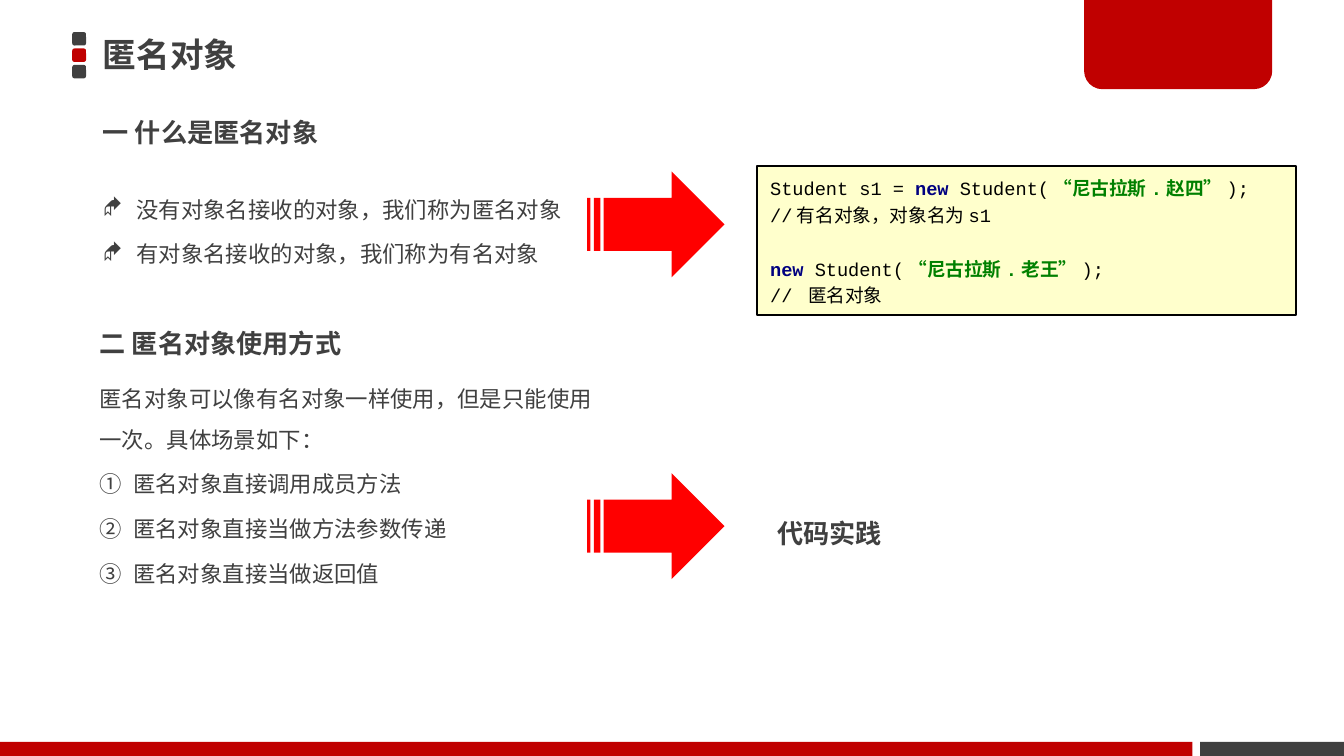
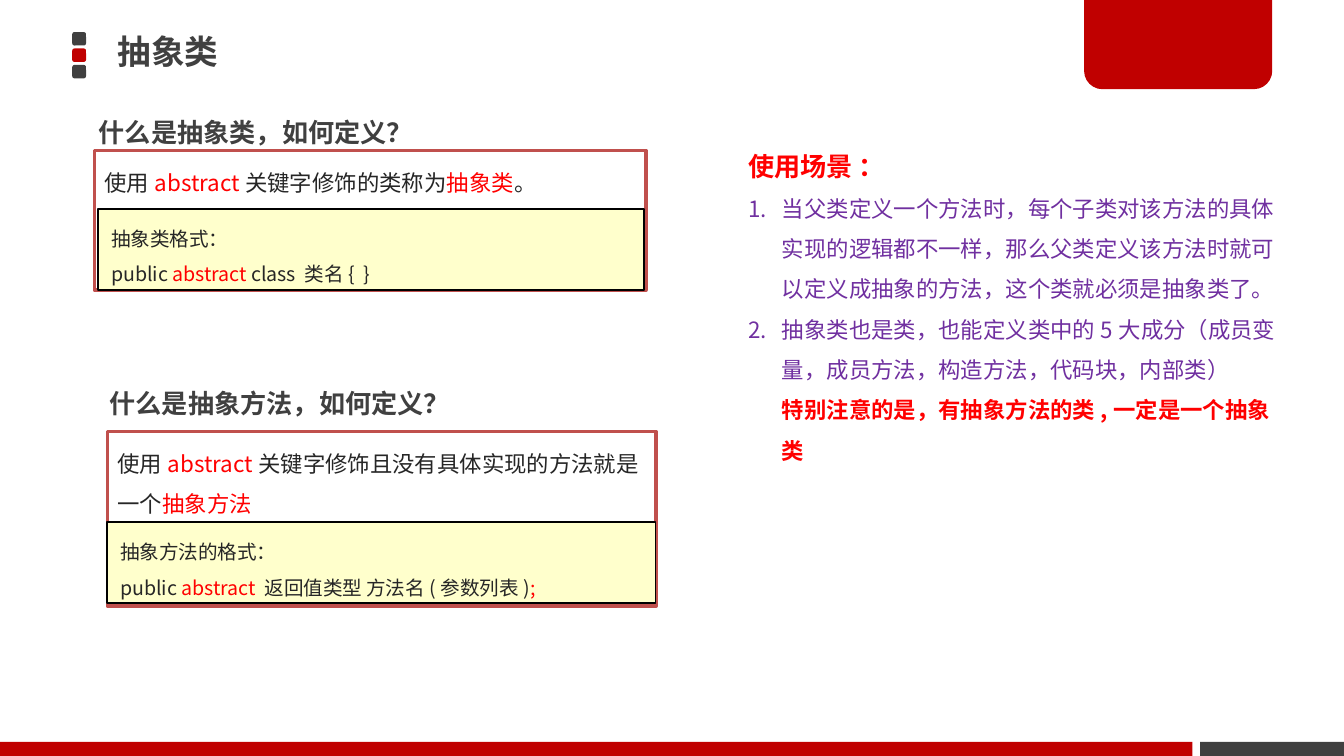
from lxml.etree import SubElement
from pptx import Presentation
from pptx.dml.color import RGBColor
from pptx.enum.shapes import MSO_SHAPE
from pptx.enum.text import MSO_ANCHOR, PP_ALIGN
from pptx.oxml.ns import qn
from pptx.util import Pt

GREY = RGBColor(0x40, 0x40, 0x40)
INK = RGBColor(0x26, 0x26, 0x26)
BLACK = RGBColor(0, 0, 0)
WHITE = RGBColor(0xFF, 0xFF, 0xFF)
DARK_RED = RGBColor(0xC0, 0, 0)
RED = RGBColor(0xFF, 0, 0)
BRICK = RGBColor(0xC0, 0x50, 0x4D)
CREAM = RGBColor(0xFF, 0xFF, 0xCC)
NAVY = RGBColor(0, 0, 0x80)
GREEN = RGBColor(0, 0x80, 0)
PURPLE = RGBColor(0x70, 0x30, 0xA0)

JP, SC, MONO = "Noto Sans CJK JP", "Noto Sans CJK SC", "Courier New"
WIDTH, HEIGHT = 720, 405
TIGHT, NORMAL = (5.4, 2.7), (7.2, 3.6)

# Text styles
TITLE = dict(size=18, bold=True, anchor=MSO_ANCHOR.MIDDLE)
HEADING = dict(size=14, bold=True, anchor=MSO_ANCHOR.MIDDLE)
BODY = dict(size=12, spacing=1.5, before=2.4)
CODE = dict(size=10, font=MONO, color=BLACK, spacing=1.2, inset=NORMAL,
            fill=CREAM, line=BLACK)
DEFINITION = dict(BODY, font=SC, color=INK, fill=WHITE, line=BRICK, line_width=2)
FORMAT = dict(size=10.5, font=SC, color=INK, spacing=1.5, inset=NORMAL,
              fill=CREAM, line=BLACK)
USAGE = dict(size=12, font=SC, color=PURPLE, spacing=1.5, inset=NORMAL)

# Bullets: tag, attributes
DIAMOND = ("a:buChar", {"char": "◆"})
CIRCLED = ("a:buAutoNum", {"type": "circleNumDbPlain"})
NUMBERED = ("a:buAutoNum", {"type": "arabicPeriod"})


def para(*runs, **changes):
    """A paragraph: runs are strings or (text, colour, bold) tuples."""
    return runs, changes


def red(words):
    return words, RED, False


def student(name):
    return [("new ", NAVY, True), "Student(", (f"“{name}”", GREEN, True), ");"]


# Content: (box, paragraphs, style), box as left, top, width, height
ANONYMOUS = [
    ((49.7, 13.7, 517.7, 30.2), [para("匿名对象")], TITLE),
    ((49.7, 55.4, 293.8, 30.2), [para("一 什么是匿名对象")], HEADING),
    ((49.7, 95, 293.8, 62), [
        para("没有对象名接收的对象，我们称为匿名对象", bullet=DIAMOND),
        para("有对象名接收的对象，我们称为有名对象", bullet=DIAMOND)], BODY),
    ((48, 168.5, 293.8, 30.2), [para("二 匿名对象使用方式")], HEADING),
    ((48, 196.6, 283.7, 141), [
        para("匿名对象可以像有名对象一样使用，但是只能使用一次。具体场景如下："),
        para("匿名对象直接调用成员方法", bullet=CIRCLED),
        para("匿名对象直接当做方法参数传递", bullet=CIRCLED),
        para("匿名对象直接当做返回值", bullet=CIRCLED)], BODY),
    ((405.5, 89, 289, 80), [
        para("Student s1 = ", *student("尼古拉斯.赵四")),
        para("//有名对象，对象名为s1"),
        para(*student("尼古拉斯.老王"), before=14.2),
        para("// 匿名对象")], CODE),
    ((411, 270.7, 123, 30.2), [para("代码实践")], HEADING),
]
ARROWS = [(314.6, top, 73.6, 56.8) for top in (91.8, 253.5)]

ABSTRACT = [
    ((57.6, 10.1, 479.5, 34.6), [para("抽象类")], TITLE),
    ((393.8, 68.4, 301, 163.4), [
        para("使用场景 ：", size=14, color=RED, bold=True),
        para("当父类定义一个方法时，每个子类对该方法的具体实现的逻辑都不一样，"
             "那么父类定义该方法时就可以定义成抽象的方法，这个类就必须是抽象类了。",
             bullet=NUMBERED),
        para("抽象类也是类，也能定义类中的5大成分（成员变量，成员方法，构造方法，"
             "代码块，内部类）\n",
             ("特别注意的是，有抽象方法的类,一定是一个抽象类", RED, True),
             bullet=NUMBERED)], USAGE),
    ((47.5, 55.4, 293.8, 30.2), [para("什么是抽象类，如何定义？")], HEADING),
    ((50.6, 80.6, 295.4, 74.8), [
        para("使用", red("abstract"), "关键字修饰的类称为", red("抽象类"), "。")],
     DEFINITION),
    ((53.3, 200.9, 293.8, 30.2), [para("什么是抽象方法，如何定义？")], HEADING),
    ((57.6, 231.2, 293.8, 93.6), [
        para("使用", red("abstract"), "关键字修饰且没有具体实现的方法就是一个",
             red("抽象方法"))], DEFINITION),
    ((52.6, 111.8, 292.5, 43.4), [
        para("抽象类格式："),
        para("public ", red("abstract"), " class 类名{  }")], FORMAT),
    ((57.4, 279.6, 293.8, 43.4), [
        para("抽象方法的格式："),
        para("public ", red("abstract "), "返回值类型 方法名(参数列表)", red(";"))],
     FORMAT),
]


def add_block(slide, box, kind=MSO_SHAPE.RECTANGLE, fill=None, line=None, width=1):
    block = slide.shapes.add_shape(kind, *map(Pt, box))
    block.shadow.inherit = False
    block.fill.solid()
    block.fill.fore_color.rgb = fill
    if line is None:
        block.line.fill.background()
    else:
        block.line.color.rgb = line
        block.line.width = Pt(width)
    return block


def add_bullet(paragraph, bullet):
    tag, attributes = bullet
    properties = paragraph._p.get_or_add_pPr()
    properties.set("marL", str(Pt(18)))
    properties.set("indent", str(-Pt(18)))
    if bullet is DIAMOND:
        SubElement(properties, qn("a:buFont"), typeface="Wingdings")
    SubElement(properties, qn(tag), attributes)


def add_run(paragraph, words, size, font, color, bold):
    for index, piece in enumerate(words.split("\n")):
        if index:
            paragraph.add_line_break()
        if not piece:
            continue
        run = paragraph.add_run()
        run.text = piece
        run.font.size = Pt(size)
        run.font.bold = bold
        run.font.color.rgb = color
        run.font.name = font
        SubElement(run._r.get_or_add_rPr(), qn("a:ea"),
                   typeface=SC if font == MONO else font)


def add_text(slide, box, paragraphs, size=12, font=JP, color=GREY, bold=False,
             spacing=1.0, before=0, anchor=MSO_ANCHOR.TOP, inset=TIGHT,
             fill=None, line=None, line_width=1):
    if fill is None:
        holder = slide.shapes.add_textbox(*map(Pt, box))
    else:
        holder = add_block(slide, box, fill=fill, line=line, width=line_width)
    frame = holder.text_frame
    frame.word_wrap = True
    frame.vertical_anchor = anchor
    frame.margin_left = frame.margin_right = Pt(inset[0])
    frame.margin_top = frame.margin_bottom = Pt(inset[1])
    for index, (runs, changes) in enumerate(paragraphs):
        look = dict(size=size, color=color, bold=bold, before=before, bullet=None)
        look.update(changes)
        paragraph = frame.add_paragraph() if index else frame.paragraphs[0]
        paragraph.alignment = PP_ALIGN.LEFT
        paragraph.line_spacing = spacing
        paragraph.space_before = Pt(look["before"])
        if look["bullet"]:
            add_bullet(paragraph, look["bullet"])
        for run in runs:
            if isinstance(run, str):
                run = run, look["color"], look["bold"]
            words, run_color, run_bold = run
            add_run(paragraph, words, look["size"], font, run_color, run_bold)


def add_frame(slide):
    # Three squares beside the title
    for row, color in enumerate((GREY, DARK_RED, GREY)):
        add_block(slide, (38.7, 17.2 + 8.8 * row, 7.4, 7.2),
                  MSO_SHAPE.ROUNDED_RECTANGLE, color)
    # Tab at the top right
    tab = add_block(slide, (580.8, -1.4, 100.8, 49.2),
                    MSO_SHAPE.ROUND_2_SAME_RECTANGLE, DARK_RED)
    tab.adjustments[0], tab.adjustments[1] = 0, 0.2
    # Footer bands
    for left, right, color in ((0, 638.8, DARK_RED), (643, WIDTH, GREY)):
        add_block(slide, (left, HEIGHT - 7.5, right - left, 7.5), fill=color)


def main():
    deck = Presentation()
    deck.slide_width, deck.slide_height = Pt(WIDTH), Pt(HEIGHT)
    for content, arrows in ((ANONYMOUS, ARROWS), (ABSTRACT, [])):
        slide = deck.slides.add_slide(deck.slide_layouts[6])
        add_frame(slide)
        for box, paragraphs, style in content:
            add_text(slide, box, paragraphs, **style)
        for box in arrows:
            add_block(slide, box, MSO_SHAPE.STRIPED_RIGHT_ARROW, RED)
    deck.save("out.pptx")


if __name__ == "__main__":
    main()
